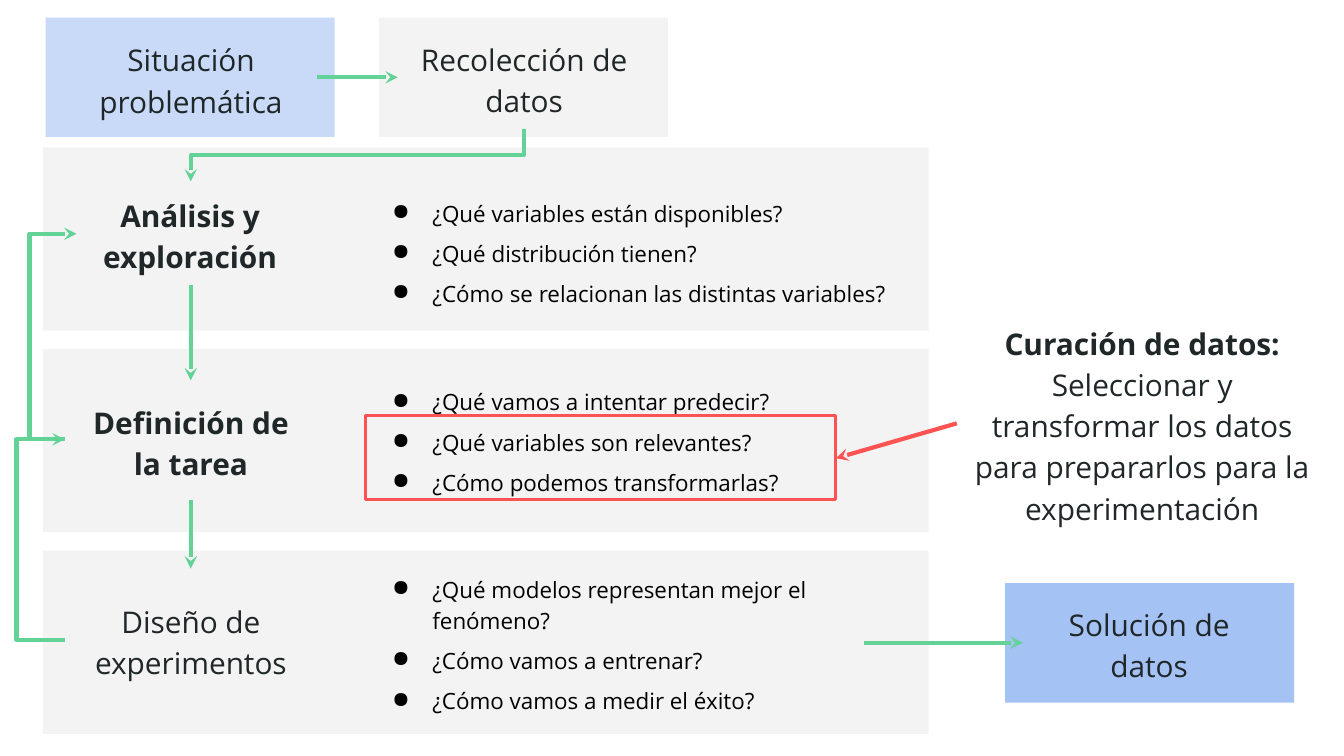
import pptx
import pptx.dml.color
import pptx.enum.shapes
import pptx.enum.text
import pptx.oxml
import pptx.oxml.ns
import pptx.util
from lxml import etree

Pt = pptx.util.Pt
RGBColor = pptx.dml.color.RGBColor
CONNECTOR = pptx.enum.shapes.MSO_CONNECTOR
qn = pptx.oxml.ns.qn

PALE_BLUE = RGBColor(0xC9, 0xDA, 0xF8)
BLUE = RGBColor(0xA4, 0xC2, 0xF4)
GREY = RGBColor(0xF3, 0xF3, 0xF3)
INK = RGBColor(0x20, 0x27, 0x29)
BLACK = RGBColor(0, 0, 0)
GREEN = RGBColor(0x63, 0xD2, 0x97)
RED = RGBColor(0xFF, 0x52, 0x52)
FONT = "Open Sans"

# Label, bold, label area, questions, question area; areas are left, top, width, height
STAGES = [
    ("Análisis y exploración", True, (41, 97.2, 121.7, 55.4),
     ["¿Qué variables están disponibles?",
      "¿Qué distribución tienen?",
      "¿Cómo se relacionan las distintas variables?"], (203, 94.3, 281, 80.6)),
    ("Definición de la tarea", True, (34.6, 203.8, 135.4, 64),
     ["¿Qué vamos a intentar predecir?",
      "¿Qué variables son relevantes?",
      "¿Cómo podemos transformarlas?"], (203, 185, 294.5, 101.5)),
    ("Diseño de experimentos", False, (34.6, 304.6, 135.4, 76.3),
     ["¿Qué modelos representan mejor el fenómeno?",
      "¿Cómo vamos a entrenar?",
      "¿Cómo vamos a medir el éxito?"], (203, 293.8, 259.2, 101.5)),
]
BAND_LEFT, BAND_TOP, BAND_WIDTH, BAND_HEIGHT, BAND_STEP = 23, 79, 474.5, 98.2, 108

# Label, card fill, card left and top, text area
CARD_WIDTH, CARD_HEIGHT = 154.8, 64
CARDS = [
    ("Situación problemática", PALE_BLUE, (24.5, 9.4), (34.6, 3.6, 135.4, 76.3)),
    ("Recolección de datos", GREY, (203, 9.4), (213.1, 13.7, 135.4, 55.4)),
    ("Solución de datos", BLUE, (538.5, 312.5), (547.9, 306, 135.4, 76.3)),
]

CURATION = [("Curación de datos:", True),
            ("Seleccionar y transformar los datos para prepararlos para la experimentación", False)]
CURATION_AREA = (512.6, 188.6, 198.7, 76.3)
HIGHLIGHT_AREA = (195.8, 222.8, 252, 44.8)

# Start, end and colour of the straight arrows
ARROWS = [
    ((169.9, 41.4), (213.1, 41.4), GREEN),
    ((102.2, 152.6), (102.2, 203.8), GREEN),
    ((102.2, 267.8), (102.2, 304.6), GREEN),
    ((463, 344.3), (547.9, 344.3), GREEN),
    ((512.6, 226.8), (447.8, 245.5), RED),
]
# Start, end and the x of the vertical stretch
LOOPS = [
    ((34.6, 235.4), (41, 125.3), 15.8),
    ((34.6, 342.7), (34.7, 235.4), 11.9),
]
DROP = ((280.8, 69.1), (102.2, 97.2))


def add_block(page, area, fill=None, line=None):
    block = page.shapes.add_shape(pptx.enum.shapes.MSO_SHAPE.RECTANGLE, *map(Pt, area))
    block.shadow.inherit = False
    if fill is None:
        block.fill.background()
    else:
        block.fill.solid()
        block.fill.fore_color.rgb = fill
    if line is None:
        block.line.fill.background()
    else:
        block.line.color.rgb = line
        block.line.width = Pt(1.5)


def add_bullet(para):
    props = para._p.get_or_add_pPr()
    props.set("marL", str(Pt(21.6)))
    props.set("indent", str(Pt(-23.8)))
    color = etree.SubElement(props, qn("a:buClr"))
    etree.SubElement(color, qn("a:srgbClr"), val=str(BLACK))
    etree.SubElement(props, qn("a:buChar"), char="●")


def add_text(page, area, lines, size=16, color=INK, bullets=False):
    """Write lines, given as (text, bold) pairs, centred or as a bulleted list."""
    box = page.shapes.add_textbox(*map(Pt, area))
    frame = box.text_frame
    frame.word_wrap = True
    frame.vertical_anchor = pptx.enum.text.MSO_ANCHOR.MIDDLE
    frame.margin_left = frame.margin_right = frame.margin_top = frame.margin_bottom = Pt(7.2)
    for index, (text, bold) in enumerate(lines):
        para = frame.paragraphs[0] if index == 0 else frame.add_paragraph()
        para.line_spacing = 1.15
        if bullets:
            if index:
                para.space_before = Pt(5)
            if index == len(lines) - 1:
                para.space_after = Pt(5)
            add_bullet(para)
        else:
            para.alignment = pptx.enum.text.PP_ALIGN.CENTER
        span = para.add_run()
        span.text = text
        span.font.name = FONT
        span.font.size = Pt(size)
        span.font.bold = bold
        span.font.color.rgb = color


def add_arrow(page, start, end, color=GREEN, kind=CONNECTOR.STRAIGHT):
    arrow = page.shapes.add_connector(kind, *map(Pt, start + end))
    arrow.line.color.rgb = color
    arrow.line.width = Pt(2.25)
    etree.SubElement(arrow.line._get_or_add_ln(), qn("a:tailEnd"), type="stealth")
    etree.SubElement(arrow._element.spPr, qn("a:effectLst"))
    return arrow


def add_loop(page, start, end, turn):
    """Draw an elbow arrow whose vertical stretch lies at x = turn."""
    arrow = add_arrow(page, start, end, kind=CONNECTOR.ELBOW)
    ratio = (turn - start[0]) / (end[0] - start[0])
    guides = arrow._element.spPr.find(qn("a:prstGeom")).get_or_add_avLst()
    etree.SubElement(guides, qn("a:gd"), name="adj1", fmla=f"val {round(ratio * 100000)}")


def add_drop(page, start, end):
    """Draw an elbow arrow that goes down, left and down: a quarter turn of the usual one."""
    middle_x, middle_y = (start[0] + end[0]) / 2, (start[1] + end[1]) / 2
    half_width, half_height = (end[1] - start[1]) / 2, (start[0] - end[0]) / 2
    arrow = add_arrow(page, (middle_x - half_width, middle_y - half_height),
                      (middle_x + half_width, middle_y + half_height), kind=CONNECTOR.ELBOW)
    arrow._element.spPr.find(qn("a:xfrm")).set("rot", str(90 * 60000))


def main():
    deck = pptx.Presentation()
    deck.slide_width, deck.slide_height = Pt(720), Pt(405)
    page = deck.slides.add_slide(deck.slide_layouts[6])

    for index, (label, bold, label_area, questions, question_area) in enumerate(STAGES):
        add_block(page, (BAND_LEFT, BAND_TOP + index * BAND_STEP, BAND_WIDTH, BAND_HEIGHT), GREY)
        add_text(page, label_area, [(label, bold)])
        add_text(page, question_area, [(question, False) for question in questions],
                 size=12, color=BLACK, bullets=True)
    for label, fill, corner, text_area in CARDS:
        add_block(page, corner + (CARD_WIDTH, CARD_HEIGHT), fill)
        add_text(page, text_area, [(label, False)])
    add_text(page, CURATION_AREA, CURATION)

    for start, end, color in ARROWS:
        add_arrow(page, start, end, color)
    for start, end, turn in LOOPS:
        add_loop(page, start, end, turn)
    add_drop(page, *DROP)
    add_block(page, HIGHLIGHT_AREA, line=RED)
    deck.save("out.pptx")


if __name__ == "__main__":
    main()
